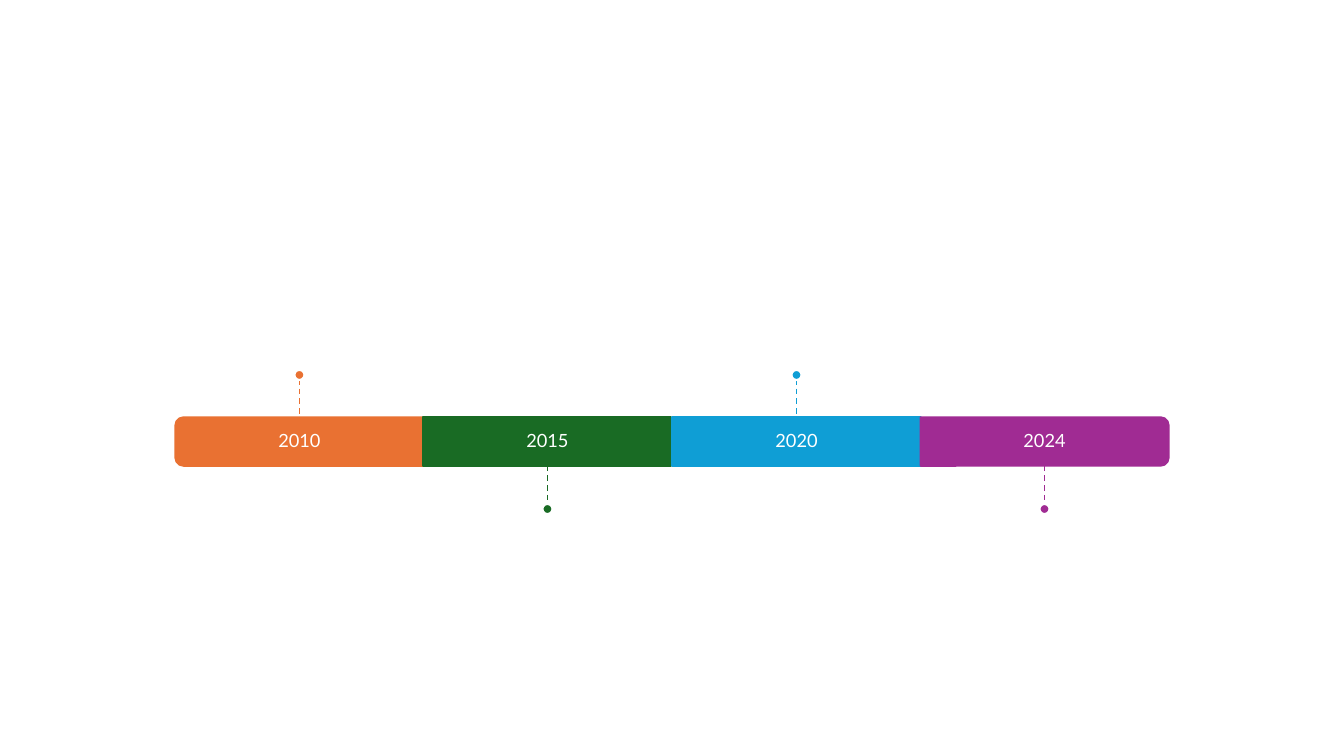
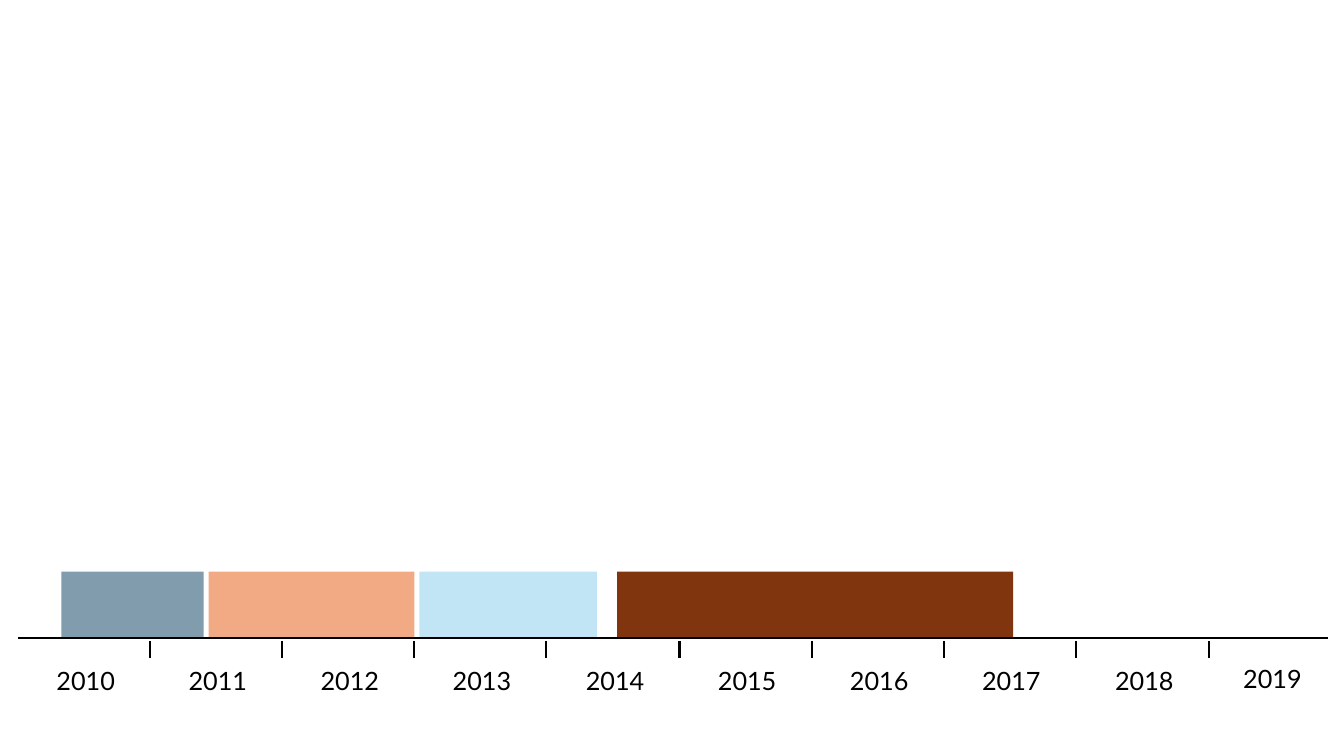
"""Build two timeline slides: a segmented ribbon and a yearly axis with bars."""
from dataclasses import dataclass
from typing import Optional

from lxml.etree import SubElement
from pptx import Presentation
from pptx.dml.color import RGBColor
from pptx.enum.dml import MSO_LINE
from pptx.enum.shapes import MSO_CONNECTOR, MSO_SHAPE
from pptx.enum.text import MSO_ANCHOR, PP_ALIGN
from pptx.oxml.ns import qn
from pptx.shapes.autoshape import Shape
from pptx.shapes.connector import Connector
from pptx.slide import Slide
from pptx.text.text import TextFrame
from pptx.util import Pt

EMU_PER_PX = 9144
SLIDE_WIDTH, SLIDE_HEIGHT = 1333, 750
FONT_NAME = "Lato"

WHITE = RGBColor(0xFF, 0xFF, 0xFF)
BLACK = RGBColor(0x00, 0x00, 0x00)
ORANGE = RGBColor(0xE9, 0x71, 0x32)
GREEN = RGBColor(0x19, 0x6B, 0x24)
BLUE = RGBColor(0x0F, 0x9E, 0xD5)
PURPLE = RGBColor(0xA0, 0x2B, 0x93)
SLATE = RGBColor(0x81, 0x9C, 0xAD)
PEACH = RGBColor(0xF2, 0xAA, 0x84)
PALE_BLUE = RGBColor(0xC1, 0xE5, 0xF5)
BROWN = RGBColor(0x80, 0x35, 0x0E)

RIBBON_LEFT, RIBBON_TOP, RIBBON_STEP = 174, 414, 246.33
SEGMENT_WIDTH, SEGMENT_HEIGHT = 246, 48
STEM_LENGTH, DOT_SIZE = 38, 10
SEGMENT_INSET = 11

BAR_TOP, BAR_HEIGHT = 567, 65
AXIS_LEFT, AXIS_RIGHT, AXIS_TOP = 18, 1317, 633
TICK_LEFT, TICK_TOP, TICK_BOTTOM, TICK_COUNT = 149, 636, 653, 9
YEAR_STEP = 131.25
YEAR_LEFT, YEAR_TOP, YEAR_WIDTH, YEAR_HEIGHT = 21, 647, 128, 57
FIRST_YEAR = 2010
LAST_YEAR, LAST_YEAR_LEFT, LAST_YEAR_TOP = 2019, 1198, 645


@dataclass(frozen=True)
class Box:
    left: int
    top: int
    width: int
    height: int

    def emu(self) -> list[int]:
        return [px(value) for value in (self.left, self.top, self.width, self.height)]


@dataclass(frozen=True)
class Segment:
    year: str
    color: RGBColor
    points_up: bool
    rotation: int = 0


@dataclass(frozen=True)
class Bar:
    left: int
    width: int
    color: RGBColor


SEGMENTS = (
    Segment("2010", ORANGE, True, 270),
    Segment("2015", GREEN, False),
    Segment("2020", BLUE, True),
    Segment("2024", PURPLE, False, 90),
)
BARS = (
    Bar(61, 141, SLATE),
    Bar(207, 204, PEACH),
    Bar(416, 176, PALE_BLUE),
    Bar(612, 393, BROWN),
)


def px(value: int) -> int:
    return value * EMU_PER_PX


def apply_format(target: object, values: dict[str, object]) -> None:
    for name, value in values.items():
        setattr(target, name, value)


def add_filled_shape(slide: Slide, kind: MSO_SHAPE, box: Box, fill: RGBColor,
                     outline: Optional[RGBColor] = None) -> Shape:
    shape = slide.shapes.add_shape(kind, *box.emu())
    shape.shadow.inherit = False
    shape.fill.solid()
    shape.fill.fore_color.rgb = fill
    if outline is None:
        shape.line.fill.background()
    else:
        shape.line.color.rgb = outline
        shape.line.width = Pt(1.5)
    return shape


def add_straight_line(slide: Slide, start: tuple[int, int], end: tuple[int, int],
                      color: RGBColor, line_format: dict[str, object]) -> Connector:
    points = [px(value) for value in (*start, *end)]
    connector = slide.shapes.add_connector(MSO_CONNECTOR.STRAIGHT, *points)
    connector.line.color.rgb = color
    apply_format(connector.line, line_format)
    SubElement(connector._element.spPr, qn("a:effectLst"))
    return connector


def write_centered(frame: TextFrame, text: str, size: int, color: RGBColor,
                   frame_format: Optional[dict[str, object]] = None,
                   line_spacing: float = 1.0) -> None:
    apply_format(frame, {"word_wrap": True, "vertical_anchor": MSO_ANCHOR.MIDDLE,
                         **(frame_format or {})})
    paragraph = frame.paragraphs[0]
    apply_format(paragraph, {"alignment": PP_ALIGN.CENTER, "line_spacing": line_spacing})
    run = paragraph.add_run()
    run.text = text
    apply_format(run.font, {"name": FONT_NAME, "size": Pt(size)})
    run.font.color.rgb = color


def add_segment(slide: Slide, segment: Segment, left: int) -> None:
    box = Box(left, RIBBON_TOP, SEGMENT_WIDTH, SEGMENT_HEIGHT)
    center = left + SEGMENT_WIDTH // 2
    if segment.rotation:
        upright = Box(center - SEGMENT_HEIGHT // 2,
                      RIBBON_TOP + (SEGMENT_HEIGHT - SEGMENT_WIDTH) // 2,
                      SEGMENT_HEIGHT, SEGMENT_WIDTH)
        shape = add_filled_shape(slide, MSO_SHAPE.ROUND_2_SAME_RECTANGLE, upright,
                                 segment.color, segment.color)
        shape.rotation = segment.rotation
        label = slide.shapes.add_textbox(*box.emu())
    else:
        shape = label = add_filled_shape(slide, MSO_SHAPE.RECTANGLE, box,
                                         segment.color, segment.color)
    sides = ("left", "top", "right", "bottom")
    margins = {f"margin_{side}": px(SEGMENT_INSET) for side in sides}
    write_centered(label.text_frame, segment.year, 13, WHITE, margins, 0.9)

    stem_top = RIBBON_TOP - STEM_LENGTH if segment.points_up else RIBBON_TOP + SEGMENT_HEIGHT
    stem_bottom = stem_top + STEM_LENGTH
    stem = add_straight_line(slide, (center, stem_top), (center, stem_bottom), segment.color,
                             {"width": Pt(1), "dash_style": MSO_LINE.DASH})
    if not segment.rotation:
        if segment.points_up:
            stem.end_connect(shape, 0)
        else:
            stem.begin_connect(shape, 2)
    dot_top = stem_top - DOT_SIZE + 1 if segment.points_up else stem_bottom
    dot = Box(center - DOT_SIZE // 2, dot_top, DOT_SIZE, DOT_SIZE)
    add_filled_shape(slide, MSO_SHAPE.OVAL, dot, segment.color, WHITE)


def add_year(slide: Slide, year: int, left: int, top: int) -> None:
    label = slide.shapes.add_textbox(*Box(left, top, YEAR_WIDTH, YEAR_HEIGHT).emu())
    write_centered(label.text_frame, str(year), 18, BLACK)


def build_ribbon(slide: Slide) -> None:
    for index, segment in enumerate(SEGMENTS):
        add_segment(slide, segment, RIBBON_LEFT + round(index * RIBBON_STEP))


def build_axis(slide: Slide) -> None:
    for bar in BARS:
        box = Box(bar.left, BAR_TOP, bar.width, BAR_HEIGHT)
        add_filled_shape(slide, MSO_SHAPE.RECTANGLE, box, bar.color)
    axis_format = {"width": Pt(1.5)}
    for index in range(TICK_COUNT):
        offset = int(index * YEAR_STEP)
        add_year(slide, FIRST_YEAR + index, YEAR_LEFT + offset, YEAR_TOP)
        tick = TICK_LEFT + offset
        add_straight_line(slide, (tick, TICK_TOP), (tick, TICK_BOTTOM), BLACK, axis_format)
    add_year(slide, LAST_YEAR, LAST_YEAR_LEFT, LAST_YEAR_TOP)
    add_straight_line(slide, (AXIS_LEFT, AXIS_TOP), (AXIS_RIGHT, AXIS_TOP), BLACK, axis_format)


def main() -> None:
    presentation = Presentation()
    apply_format(presentation, {"slide_width": px(SLIDE_WIDTH),
                                "slide_height": px(SLIDE_HEIGHT)})
    blank_layout = presentation.slide_layouts[6]
    for build in (build_ribbon, build_axis):
        build(presentation.slides.add_slide(blank_layout))
    presentation.save("out.pptx")


if __name__ == "__main__":
    main()
